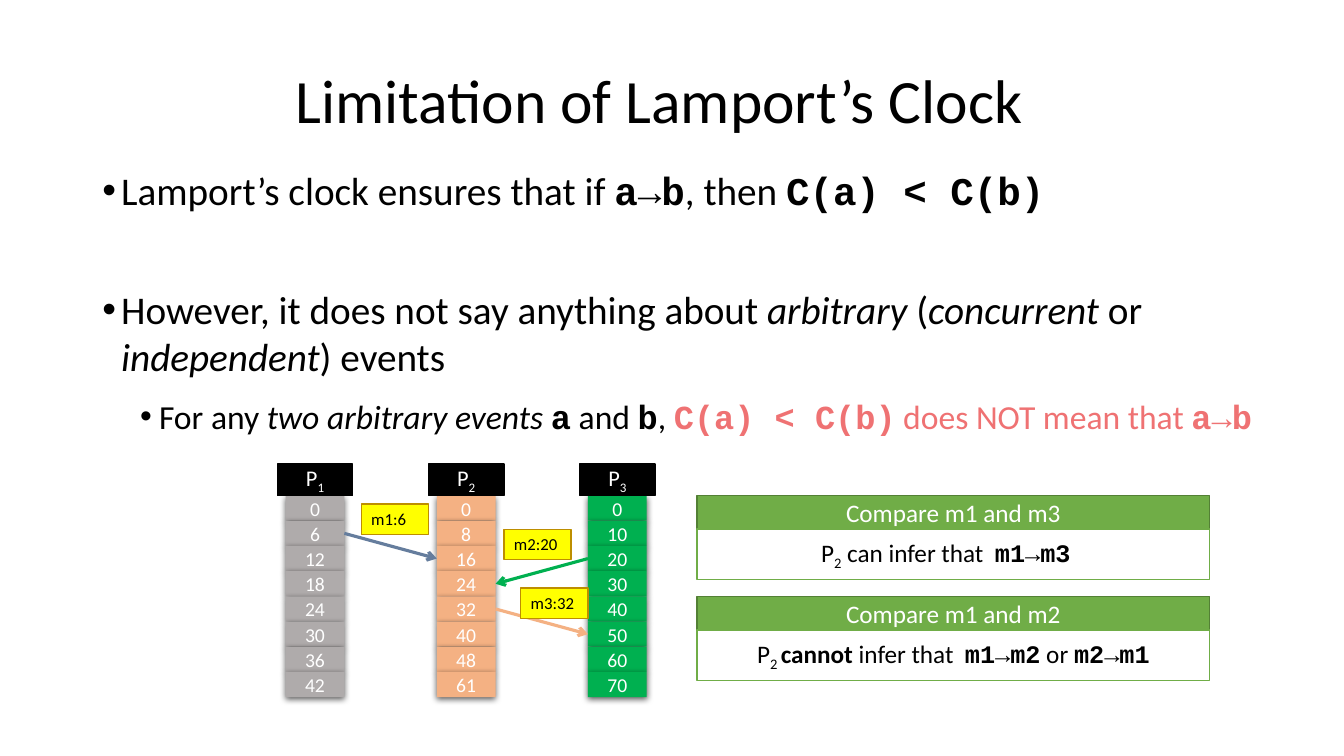
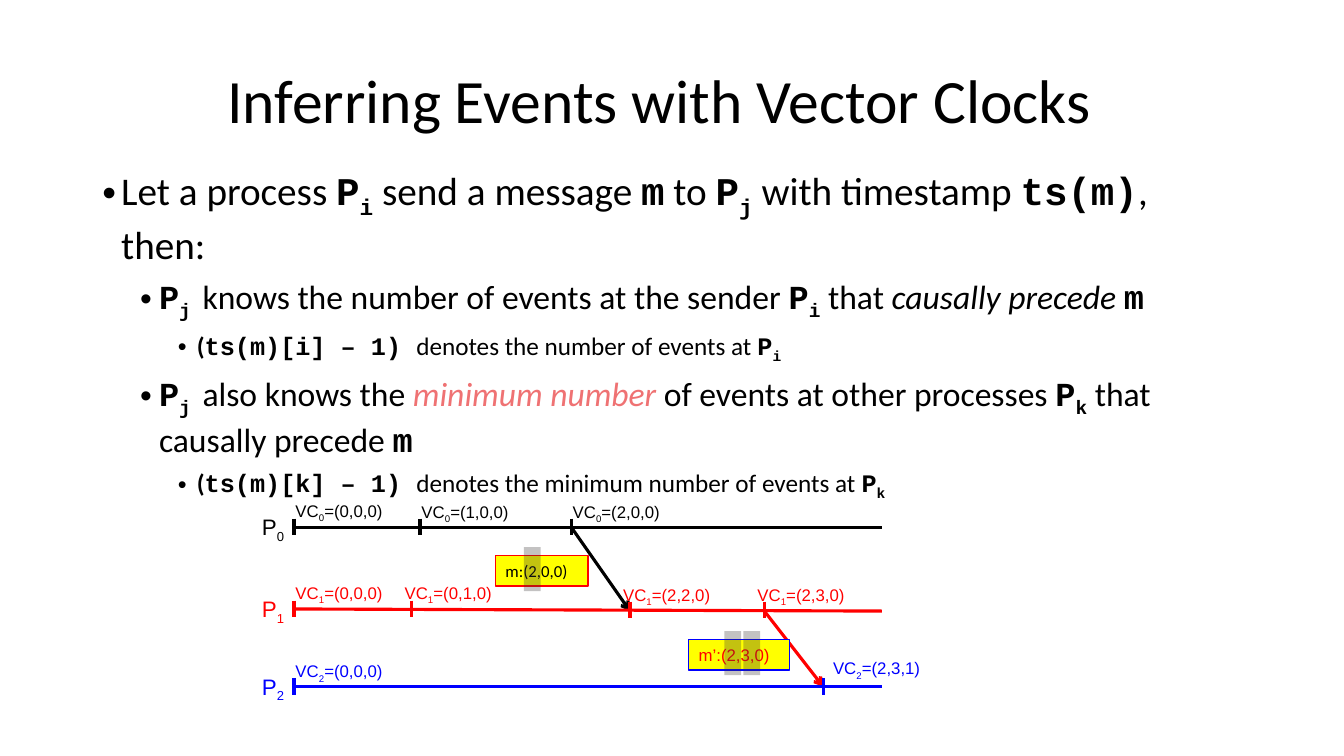
"""Build two slides on logical clocks and vector clocks."""
from itertools import groupby

from lxml import etree
from pptx import Presentation
from pptx import util as u
from pptx.dml.color import RGBColor
from pptx.enum import shapes, text
from pptx.oxml import ns

PX = 9525


class Theme:
    sans, mono, plain = "Calibri", "Courier New", "Arial"
    black, white, accent = "000000", "FFFFFF", "EF7273"
    red, blue, green, yellow = "FF0000", "0000FF", "00B050", "FFFF00"
    gray, peach, slate, gold = "AFABAB", "F4B183", "657D9D", "BD8E00"
    leaf, moss, shade = "70AD47", "538035", "3B3838"
    title, levels = 44, (28, 24, 18)
    panel, name, cell, label = 18, 16, 14, 12
    stroke, edge = 2.25, 1


LEFT, MID = text.PP_ALIGN.LEFT, text.PP_ALIGN.CENTER


def box(page, at, rows, size, color=Theme.black, font=Theme.sans, fill=None, edge=None, align=LEFT):
    """Add a box; ` marks code, * italic, # bold, _ subscript and ~ accent."""
    place = [n * PX for n in at]
    if fill:
        item = page.shapes.add_shape(shapes.MSO_SHAPE.RECTANGLE, *place)
        item.shadow.inherit = False
        item.fill.solid()
        item.fill.fore_color.rgb = RGBColor.from_string(fill)
        if edge:
            item.line.color.rgb = RGBColor.from_string(edge)
            item.line.width = u.Pt(Theme.edge)
        else:
            item.line.fill.background()
    else:
        item = page.shapes.add_textbox(*place)
    frame = item.text_frame
    frame.word_wrap = True
    frame.vertical_anchor = text.MSO_ANCHOR.MIDDLE if align == MID else text.MSO_ANCHOR.TOP
    for i, row in enumerate(rows):
        par = frame.add_paragraph() if i else frame.paragraphs[0]
        par.alignment = align
        marks, chars = frozenset(), []
        for char in row:
            if char in "`*#_~":
                marks ^= {char}
            else:
                chars.append((marks, char))
        for on, group in groupby(chars, key=lambda pair: pair[0]):
            run = par.add_run()
            run.text = "".join(char for _, char in group)
            run.font.name = Theme.mono if "`" in on else font
            run.font.size = u.Pt(size)
            run.font.bold = "`" in on or "#" in on
            run.font.italic = "*" in on
            run.font.color.rgb = RGBColor.from_string(Theme.accent if "~" in on else color)
            if "_" in on:
                run.font._element.set("baseline", "-25000")
    return item


def line(page, start, end, color, arrow=False):
    """Add a straight line, with an arrowhead at its end if asked."""
    ends = [n * PX for n in (*start, *end)]
    item = page.shapes.add_connector(shapes.MSO_CONNECTOR.STRAIGHT, *ends)
    item.line.color.rgb = RGBColor.from_string(color)
    item.line.width = u.Pt(Theme.stroke)
    etree.SubElement(item._element.spPr, ns.qn("a:effectLst"))
    if arrow:
        etree.SubElement(item.line._get_or_add_ln(), ns.qn("a:tailEnd"), type="arrow")


deck = Presentation()
deck.slide_width, deck.slide_height = 1280 * PX, 720 * PX

topics = [
    ("Limitation of Lamport’s Clock", 1128, 475, 6, [
        (0, "Lamport’s clock ensures that if `a→b`, then `C(a) < C(b)`"),
        (0, "However, it does not say anything about *arbitrary* (*concurrent* or *independent*) events"),
        (1, "For any *two arbitrary events *`a` and `b`, ~`C(a) < C(b)` does NOT mean that `a→b`~"),
    ]),
    ("Inferring Events with Vector Clocks", 1088, 304, 3, [
        (0, "Let a process `P_i_` send a message `m` to `P_j_` with timestamp `ts(m)`, then:"),
        (1, "`P_j _`knows the number of events at the sender `P_i_` that *causally precede *`m`"),
        (2, "#(#`ts(m)[i] – 1) `denotes the number of events at `P_i_`"),
        (1, "`P_j _`also knows the ~*minimum number *~of events at other processes `P_k_`"
            " that causally precede `m`"),
        (2, "#(#`ts(m)[k] – 1) `denotes the minimum number of events at `P_k_`"),
    ]),
]
pages = []
for title, wide, high, gap, points in topics:
    page = deck.slides.add_slide(deck.slide_layouts[6])
    pages.append(page)
    head = box(page, (184, 29, 888, 139), [title], Theme.title, align=MID)
    head.text_frame.paragraphs[0].line_spacing = 0.9
    body = box(page, (88, 154, wide, high), [row for _, row in points], Theme.levels[0])
    for par, (level, _) in zip(body.text_frame.paragraphs, points):
        par.space_before = par.space_after = u.Pt(gap)
        for run in par.runs:
            run.font.size = u.Pt(Theme.levels[level])
        props = par._p.get_or_add_pPr()
        props.set("marL", str((18 + 36 * level) * PX))
        props.set("indent", str(-18 * PX))
        etree.SubElement(props, ns.qn("a:buFont"), typeface=Theme.plain)
        etree.SubElement(props, ns.qn("a:buChar"), char="•")
    if page is pages[0]:
        body.text_frame.paragraphs[1].space_before = u.Pt(45)

lamport, vector = pages

clocks = [
    (Theme.gray, (0, 6, 12, 18, 24, 30, 36, 42)),
    (Theme.peach, (0, 8, 16, 24, 32, 40, 48, 61)),
    (Theme.green, (0, 10, 20, 30, 40, 50, 60, 70)),
]
for col, (color, ticks) in enumerate(clocks):
    for row, tick in enumerate(ticks):
        cell = box(lamport, (272 + 144 * col, 472 + 24 * row, 56, 24), [str(tick)],
                   Theme.cell, Theme.white, fill=color, align=MID)
        effects = cell._element.spPr.find(ns.qn("a:effectLst"))
        shadow = etree.SubElement(effects, ns.qn("a:outerShdw"), blurRad=str(u.Pt(4.5)),
                                  dist=str(u.Pt(1.5)), dir="5400000", rotWithShape="0")
        tint = etree.SubElement(shadow, ns.qn("a:srgbClr"), val=Theme.black)
        etree.SubElement(tint, ns.qn("a:alpha"), val="63000")
    box(lamport, (264 + 144 * col, 442, 72, 30), [f"P_{col + 1}_"], Theme.name, Theme.white,
        fill=Theme.black, edge=Theme.black, align=MID)

sends = [
    (328, 416, 1, Theme.slate, "m1:6", 344, 480),
    (560, 472, 2, Theme.green, "m2:20", 480, 504),
    (472, 560, 4, Theme.peach, "m3:32", 496, 560),
]
for start, end, row, color, note, left, top in sends:
    y = 484 + 24 * row
    line(lamport, (start, y), (end, y + 24), color, True)
    box(lamport, (left, top, 64, 29), [note], Theme.label, fill=Theme.yellow, edge=Theme.gold)

panels = [
    ("Compare m1 and m3", "P_2_ can infer that  `m1→m3 `"),
    ("Compare m1 and m2", "P_2 _#cannot# infer that  `m1→m2` or `m2→m1`"),
]
for i, (head, claim) in enumerate(panels):
    top = 472 + 96 * i
    box(lamport, (664, top, 488, 32), [head], Theme.panel, Theme.white,
        fill=Theme.leaf, edge=Theme.moss, align=MID)
    box(lamport, (664, top + 32, 488, 48), [claim], Theme.panel,
        fill=Theme.white, edge=Theme.leaf, align=MID)

mails = [
    ((544, 502), (600, 582), Theme.black, "m:(2,0,0)", (472, 529, 88, 29),
     Theme.black, Theme.sans, Theme.red, (499,)),
    ((728, 582), (784, 654), Theme.red, "m’:(2,3,0)", (656, 609, 96, 29),
     Theme.red, Theme.plain, Theme.blue, (690, 708)),
]
for start, end, color, note, at, ink, font, edge, marks in mails:
    line(vector, start, end, color, True)
    box(vector, at, [note], Theme.label, ink, font, Theme.yellow, edge)
    for left in marks:
        veil = box(vector, (left, at[1] - 8, 16, 42), [], Theme.label, fill=Theme.shade)
        tint = veil._element.spPr.find(ns.qn("a:solidFill"))[0]
        etree.SubElement(tint, ns.qn("a:alpha"), val="30000")

lanes = [
    (502, 0, Theme.black, [(280, 272, 472, "0,0,0"), (400, 392, 473, "1,0,0"),
                           (544, 536, 473, "2,0,0")]),
    (580, 2, Theme.red, [(280, 272, 550, "0,0,0"), (392, 376, 550, "0,1,0"),
                         (600, 584, 552, "2,2,0"), (728, 712, 552, "2,3,0")]),
    (654, 0, Theme.blue, [(280, 272, 625, "0,0,0"), (784, 784, 622, "2,3,1")]),
]
for i, (y, skew, color, events) in enumerate(lanes):
    line(vector, (280, y), (840, y + skew), color)
    box(vector, (240, y - 18, 56, 36), [f"P_{i}_"], Theme.name, color, Theme.plain)
    for x, left, top, time in events:
        mid = y + skew * (x - 280) // 560
        line(vector, (x, mid - 8), (x, mid + 8), color)
        note = box(vector, (left, top, 104, 29), [f"VC_{i}_=({time})"], Theme.label, color, Theme.plain)
        note.text_frame.margin_right = 0

deck.save("out.pptx")
